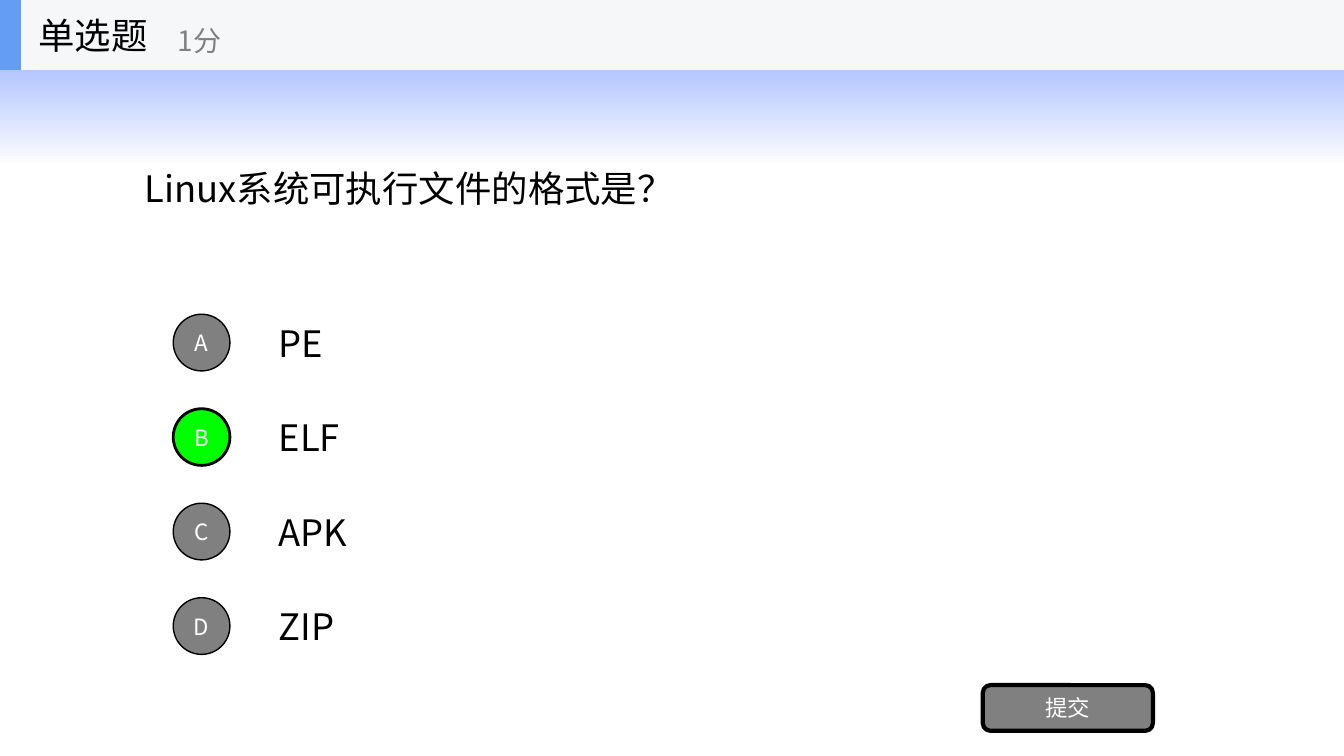
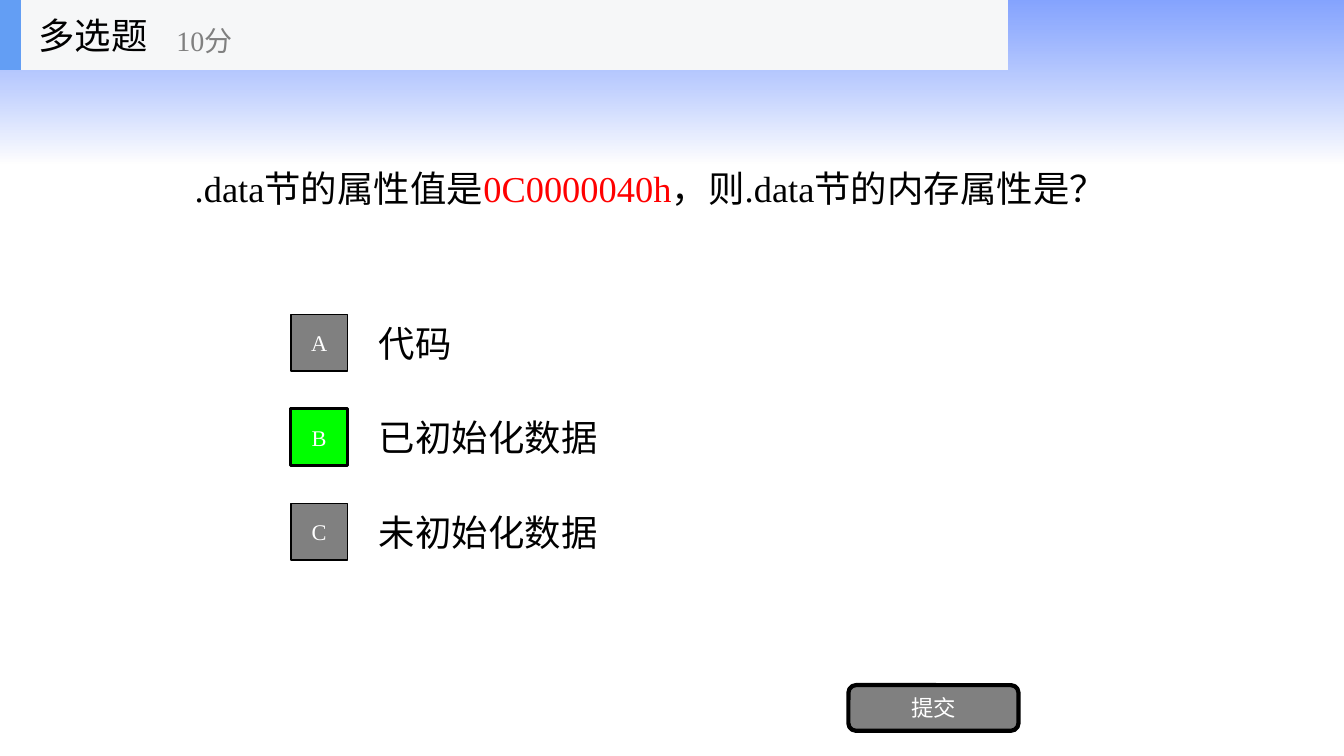
import pptx
import pptx.dml.color
import pptx.enum.lang
import pptx.enum.shapes
import pptx.enum.text
import pptx.oxml.ns
import pptx.util

SHAPE = pptx.enum.shapes.MSO_SHAPE
ALIGN = pptx.enum.text.PP_ALIGN
COLUMNS, ROWS = 128, 72
COLORS = {
    "ink": "000000",
    "paper": "FFFFFF",
    "muted": "808080",
    "correct": "00FF00",
    "emphasis": "FF0000",
    "header": "F6F7F8",
    "accent": "639EF4",
    "sky": "3366FF",
}
EAST_ASIAN_FONT = "Noto Sans CJK SC"
BODY_SIZE, POINTS_SIZE, LABEL_SIZE = 26, 20, 16
HEADER_HEIGHT = 6.65
FIRST_OPTION_ROW, OPTION_PITCH, OPTION_HEIGHT = 29.25, 9, 6.75
MARKER_SIZE = 5.4


class QuizDeck:
    def __init__(self):
        self.presentation = pptx.Presentation()
        self.presentation.slide_width = pptx.util.Inches(13.33)
        self.presentation.slide_height = pptx.util.Inches(7.5)
        self.slide = None
        self.font = EAST_ASIAN_FONT

    def color(self, name):
        return pptx.dml.color.RGBColor.from_string(COLORS[name])

    def place(self, left, top, width, height):
        column = self.presentation.slide_width / COLUMNS
        row = self.presentation.slide_height / ROWS
        return (round(left * column), round(top * row),
                round(width * column), round(height * row))

    def start(self, font):
        self.font = font
        self.slide = self.presentation.slides.add_slide(self.presentation.slide_layouts[6])
        self.sky()

    def fill_text(self, holder, parts, size, align=ALIGN.LEFT):
        frame = holder.text_frame
        frame.word_wrap = True
        frame.vertical_anchor = pptx.enum.text.MSO_ANCHOR.MIDDLE
        paragraph = frame.paragraphs[0]
        paragraph.alignment = align
        for words, color in parts:
            run = paragraph.add_run()
            run.text = words
            run.font.size = pptx.util.Pt(size)
            run.font.name = self.font
            run.font.color.rgb = self.color(color)
            run.font.language_id = pptx.enum.lang.MSO_LANGUAGE_ID.SIMPLIFIED_CHINESE
        for properties in list(holder.element.iter(pptx.oxml.ns.qn("a:rPr"))):
            properties.append(properties.makeelement(
                pptx.oxml.ns.qn("a:ea"), {"typeface": EAST_ASIAN_FONT}))

    def text(self, box, parts, size=BODY_SIZE):
        self.fill_text(self.slide.shapes.add_textbox(*self.place(*box)), parts, size)

    def shape(self, kind, box, fill, outline=0, label=None):
        shape = self.slide.shapes.add_shape(kind, *self.place(*box))
        shape.shadow.inherit = False
        shape.fill.solid()
        shape.fill.fore_color.rgb = self.color(fill)
        if outline:
            shape.line.color.rgb = self.color("ink")
            shape.line.width = pptx.util.Pt(outline)
        else:
            shape.line.fill.background()
        if label:
            self.fill_text(shape, [(label, "paper")], LABEL_SIZE, ALIGN.CENTER)
        return shape

    def sky(self):
        band = self.shape(SHAPE.RECTANGLE, (0, 0, COLUMNS, 15.55), "sky")
        band.fill.gradient()
        band.fill.gradient_angle = 270
        for stop, name in zip(band.fill.gradient_stops, ("sky", "paper")):
            stop.color.rgb = self.color(name)
        tints = band.element.spPr.iter(pptx.oxml.ns.qn("a:srgbClr"))
        for tint, opacity in zip(list(tints), (60, 70)):
            alpha = tint.makeelement(pptx.oxml.ns.qn("a:alpha"), {"val": str(opacity * 1000)})
            tint.append(alpha)

    def question(self, left, width, parts):
        self.text((left, HEADER_HEIGHT, width, 22.45), parts)

    def options(self, answers, correct, marker, marker_left, answer_left, answer_width):
        for index, (letter, answer) in enumerate(zip("ABCD", answers)):
            top = FIRST_OPTION_ROW + index * OPTION_PITCH
            self.text((answer_left, top, answer_width, OPTION_HEIGHT), [(answer, "ink")])
            marker_top = top + (OPTION_HEIGHT - MARKER_SIZE) / 2
            chosen = letter in correct
            self.shape(marker, (marker_left, marker_top, MARKER_SIZE, MARKER_SIZE),
                       "correct" if chosen else "muted", 2 if chosen else 1, letter)

    def submit(self, left):
        self.shape(SHAPE.ROUNDED_RECTANGLE, (left, 65.25, 16.2, 4.35), "muted", 3, "提交")

    def header(self, width, kind, points, points_left):
        self.shape(SHAPE.RECTANGLE, (0, 0, width, HEADER_HEIGHT), "header")
        self.shape(SHAPE.RECTANGLE, (0, 0, 2, HEADER_HEIGHT), "accent")
        self.text((2.7, 0, 20, HEADER_HEIGHT), [(kind, "ink")])
        self.text((points_left, 1.15, 24, 5.4), [(points, "muted")], POINTS_SIZE)


def main():
    deck = QuizDeck()

    deck.start(EAST_ASIAN_FONT)
    deck.question(12.8, 102.4, [("Linux系统可执行文件的格式是？", "ink")])
    deck.options(["PE", "ELF", "APK", "ZIP"], "B", SHAPE.OVAL, 16.5, 25.6, 89.6)
    deck.submit(93.6)
    deck.header(COLUMNS, "单选题", "1分", 16)

    deck.start("Times New Roman")
    deck.question(17.6, 95.3, [
        (".data节的属性值是", "ink"),
        ("0C0000040h", "emphasis"),
        ("，则.data节的内存属性是？", "ink"),
    ])
    deck.options(["代码", "已初始化数据", "未初始化数据"], "B",
                 SHAPE.RECTANGLE, 27.7, 35.15, 67.2)
    deck.submit(80.8)
    deck.header(96, "多选题", "10分", 15.85)

    deck.presentation.save("out.pptx")


if __name__ == "__main__":
    main()
